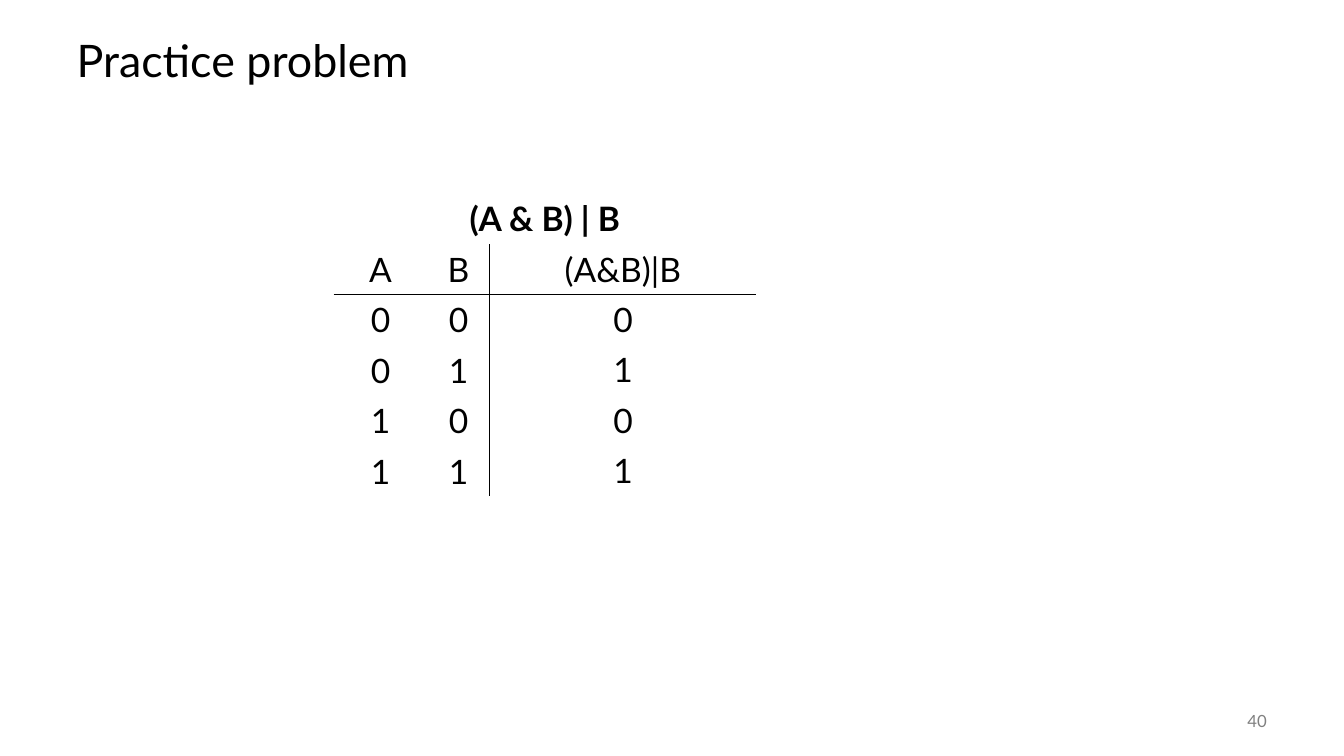
from dataclasses import dataclass

from lxml.etree import SubElement
from pptx import Presentation
from pptx.dml.color import RGBColor
from pptx.enum.text import MSO_AUTO_SIZE as AutoSize, MSO_ANCHOR as Anchor, PP_ALIGN as Align
from pptx.oxml.ns import qn
from pptx.slide import Slide
from pptx.table import _Cell as Cell
from pptx.util import Cm, Pt

BLACK = RGBColor(0x00, 0x00, 0x00)
GRAY = RGBColor(0x80, 0x80, 0x80)
FONT = "Lato"

TABLE_LEFT, TABLE_TOP = 8.41, 4.88
COLUMN_WIDTHS = (2.36, 1.57, 6.71)
ROW_HEIGHT = 1.27
EXPRESSION = "(A & B) | B"
HEADINGS = ("A", "B", "(A&B)|B")
INPUTS = (("0", "0"), ("0", "1"), ("1", "0"), ("1", "1"))
RESULTS = ("0", "1", "0", "1")
ANSWER_LEFT, ANSWER_TOP = 15.21, 7.4


@dataclass(frozen=True)
class Label:
    text: str
    left: float
    top: float
    width: float
    height: float
    size: int = 24
    color: RGBColor = BLACK
    align: Align = Align.LEFT
    anchor: Anchor = Anchor.TOP
    auto_size: AutoSize = AutoSize.NONE
    line_spacing: float = 1.0


def write(para, text: str, size: int, color: RGBColor, bold: bool = False) -> None:
    span = para.add_run()
    span.text = text
    span.font.color.rgb = color
    for name, value in {"name": FONT, "size": Pt(size), "bold": bold}.items():
        setattr(span.font, name, value)


def add_label(page: Slide, label: Label) -> None:
    box = page.shapes.add_textbox(
        Cm(label.left), Cm(label.top), Cm(label.width), Cm(label.height))
    frame = box.text_frame
    frame_format = {"word_wrap": True, "auto_size": label.auto_size,
                    "vertical_anchor": label.anchor}
    for name, value in frame_format.items():
        setattr(frame, name, value)
    para = frame.paragraphs[0]
    para.alignment = label.align
    para.line_spacing = label.line_spacing
    write(para, label.text, label.size, label.color)


def set_borders(cell: Cell, ruled_sides: str) -> None:
    """Rule the sides named by the letters L, R, T and B; leave the others bare."""
    properties = cell._tc.get_or_add_tcPr()
    for side in "LRTB":
        line = SubElement(properties, qn(f"a:ln{side}"), w=str(Pt(1)))
        if side in ruled_sides:
            fill = SubElement(line, qn("a:solidFill"))
            SubElement(fill, qn("a:srgbClr"), val=str(BLACK))
        else:
            SubElement(line, qn("a:noFill"))


def add_truth_table(page: Slide) -> None:
    rows = [(EXPRESSION, "", ""), HEADINGS, *((*pair, "") for pair in INPUTS)]
    frame = page.shapes.add_table(
        len(rows), len(COLUMN_WIDTHS), Cm(TABLE_LEFT), Cm(TABLE_TOP),
        Cm(sum(COLUMN_WIDTHS)), Cm(ROW_HEIGHT * len(rows)))
    table = frame.table
    table.first_row = table.horz_banding = False
    for column, width in zip(table.columns, COLUMN_WIDTHS):
        column.width = Cm(width)
    for r, texts in enumerate(rows):
        table.rows[r].height = Cm(ROW_HEIGHT)
        for c, text in enumerate(texts):
            cell = table.cell(r, c)
            sides = {1: "B", 2: "T"}.get(r, "")
            if r > 0:
                sides += ("", "R", "L")[c]
            set_borders(cell, sides)
            cell.fill.background()
            cell.vertical_anchor = Anchor.MIDDLE
            para = cell.text_frame.paragraphs[0]
            para.alignment = Align.CENTER
            if text:
                write(para, text, 24, BLACK, bold=r == 0)
    table.cell(0, 0).merge(table.cell(0, len(COLUMN_WIDTHS) - 1))


def main() -> None:
    deck = Presentation()
    deck.slide_width, deck.slide_height = Cm(33.87), Cm(19.05)
    page = deck.slides.add_slide(deck.slide_layouts[6])
    add_label(page, Label("Practice problem", 1.68, 0.64, 30.48, 1.9, size=32,
                          anchor=Anchor.MIDDLE, line_spacing=0.9))
    add_label(page, Label("40", 29.64, 17.65, 2.54, 1.02, size=12, color=GRAY,
                          align=Align.RIGHT, anchor=Anchor.MIDDLE))
    add_truth_table(page)
    for index, result in enumerate(RESULTS):
        add_label(page, Label(result, ANSWER_LEFT, ANSWER_TOP + index * ROW_HEIGHT,
                              1.04, ROW_HEIGHT, auto_size=AutoSize.SHAPE_TO_FIT_TEXT))
    deck.save("out.pptx")


if __name__ == "__main__":
    main()
